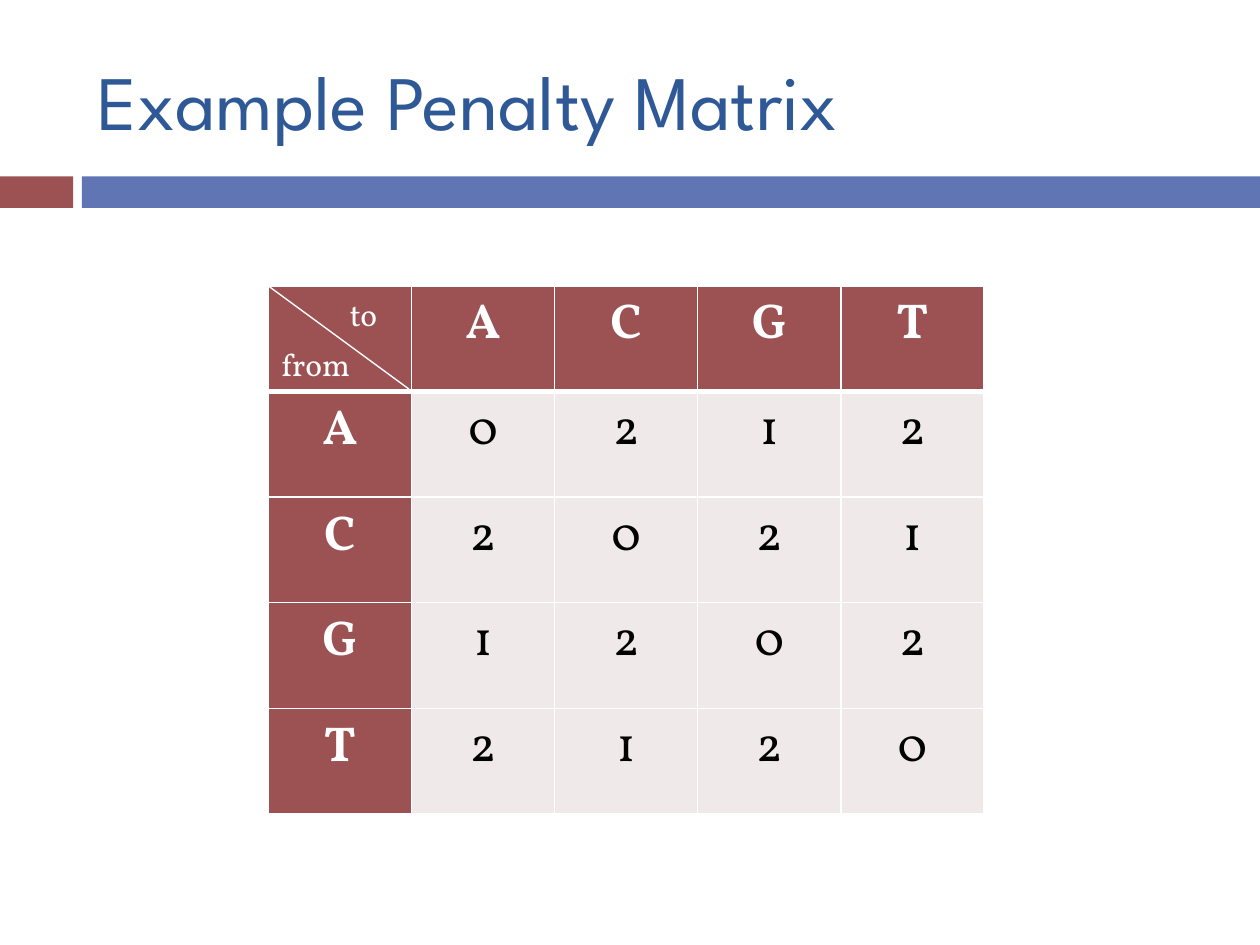
from dataclasses import dataclass

from lxml.etree import SubElement
from pptx import Presentation
from pptx.dml.color import RGBColor
from pptx.enum.shapes import MSO_CONNECTOR, MSO_SHAPE
from pptx.enum.text import MSO_ANCHOR, PP_ALIGN
from pptx.oxml.ns import qn
from pptx.util import Inches, Pt


@dataclass(frozen=True)
class Theme:
    """Colours, fonts and type sizes of the slide."""
    red: str = "9C5252"
    blue: str = "6076B4"
    navy: str = "2F5897"
    pale: str = "EFE9E9"
    white: str = "FFFFFF"
    black: str = "000000"
    title_font: str = "League Spartan"
    body_font: str = "Vollkorn"
    title_size: int = 44
    cell_size: int = 28
    label_size: int = 18


T = Theme()
BASES = "ACGT"
TRANSITIONS = {"AG", "GA", "CT", "TC"}


def penalty(a, b):
    """Return the cost of replacing base a by base b."""
    if a == b:
        return 0
    return 1 if a + b in TRANSITIONS else 2


def write(tf, text, color, align=PP_ALIGN.CENTER, **fmt):
    """Put one formatted run into a text frame."""
    p = tf.paragraphs[0]
    p.alignment = align
    r = p.add_run()
    r.text = text
    r.font.color.rgb = RGBColor.from_string(color)
    for name, value in fmt.items():
        setattr(r.font, name, value)


def add_title(s, text, x, y, w, h):
    """Place and format the title placeholder."""
    sp = s.shapes.title
    box = {"left": x, "top": y, "width": w, "height": h}
    for name, value in box.items():
        setattr(sp, name, Inches(value))
    tf = sp.text_frame
    tf.vertical_anchor = MSO_ANCHOR.MIDDLE
    write(tf, text, T.navy, PP_ALIGN.LEFT, name=T.title_font, size=Pt(T.title_size))


def add_band(s, x, y, w, h, accent=0.58, gap=0.07):
    """Draw the two-colour band under the title."""
    rest = accent + gap
    for left, width, color in ((x, accent, T.red), (x + rest, w - rest, T.blue)):
        sp = s.shapes.add_shape(MSO_SHAPE.RECTANGLE, Inches(left), Inches(y),
                                Inches(width), Inches(h))
        sp.shadow.inherit = False
        sp.fill.solid()
        sp.fill.fore_color.rgb = RGBColor.from_string(color)
        sp.line.fill.background()


def set_borders(cell, **widths):
    """Draw white cell borders, with widths in points by side."""
    tcPr = cell._tc.get_or_add_tcPr()
    for side in "LRTB":
        ln = SubElement(tcPr, qn(f"a:ln{side}"), w=str(Pt(widths.get(side, 1))))
        fill = SubElement(ln, qn("a:solidFill"))
        SubElement(fill, qn("a:srgbClr"), val=T.white)


def add_matrix(s, x, y, w, h):
    """Build the penalty table with its split corner cell."""
    rows = [["", *BASES]] + [[a, *(str(penalty(a, b)) for b in BASES)] for a in BASES]
    n = len(rows)
    table = s.shapes.add_table(n, n, Inches(x), Inches(y), Inches(w), Inches(h)).table
    for i, row in enumerate(rows):
        for j, text in enumerate(row):
            cell = table.cell(i, j)
            head = i == 0 or j == 0
            edges = {"B": 3} if i == 0 else {"T": 3} if i == 1 else {}
            set_borders(cell, **edges)
            cell.fill.solid()
            cell.fill.fore_color.rgb = RGBColor.from_string(T.red if head else T.pale)
            if text:
                write(cell.text_frame, text, T.white if head else T.black,
                      name=T.body_font, size=Pt(T.cell_size), bold=head)
    add_corner(s, x, y, w / n, h / n)


def add_corner(s, x, y, w, h):
    """Label the corner cell and split it by a diagonal."""
    for text, dx, dy, wrap in (("from", 0, 0.42, False), ("to", 0.38, 0.02, True)):
        sp = s.shapes.add_textbox(Inches(x + dx), Inches(y + dy), Inches(0.75), Inches(0.4))
        sp.text_frame.word_wrap = wrap
        write(sp.text_frame, text, T.white, name=T.body_font, size=Pt(T.label_size))
    line = s.shapes.add_connector(MSO_CONNECTOR.STRAIGHT, Inches(x), Inches(y),
                                  Inches(x + w - 0.02), Inches(y + h - 0.02))
    line.line.color.rgb = RGBColor.from_string(T.white)
    line.line.width = Pt(0.79)
    SubElement(line._element.spPr, qn("a:effectLst"))


def main():
    """Build and save the slide."""
    prs = Presentation()
    prs.slide_width, prs.slide_height = Inches(10), Inches(7.5)
    s = prs.slides.add_slide(prs.slide_layouts[5])
    add_band(s, 0, 1.4, 10, 0.25)
    add_title(s, "Example Penalty Matrix", 0.67, 0.25, 8.92, 1.08)
    add_matrix(s, 2.13, 2.27, 5.68, 4.19)
    prs.save("out.pptx")


main()
